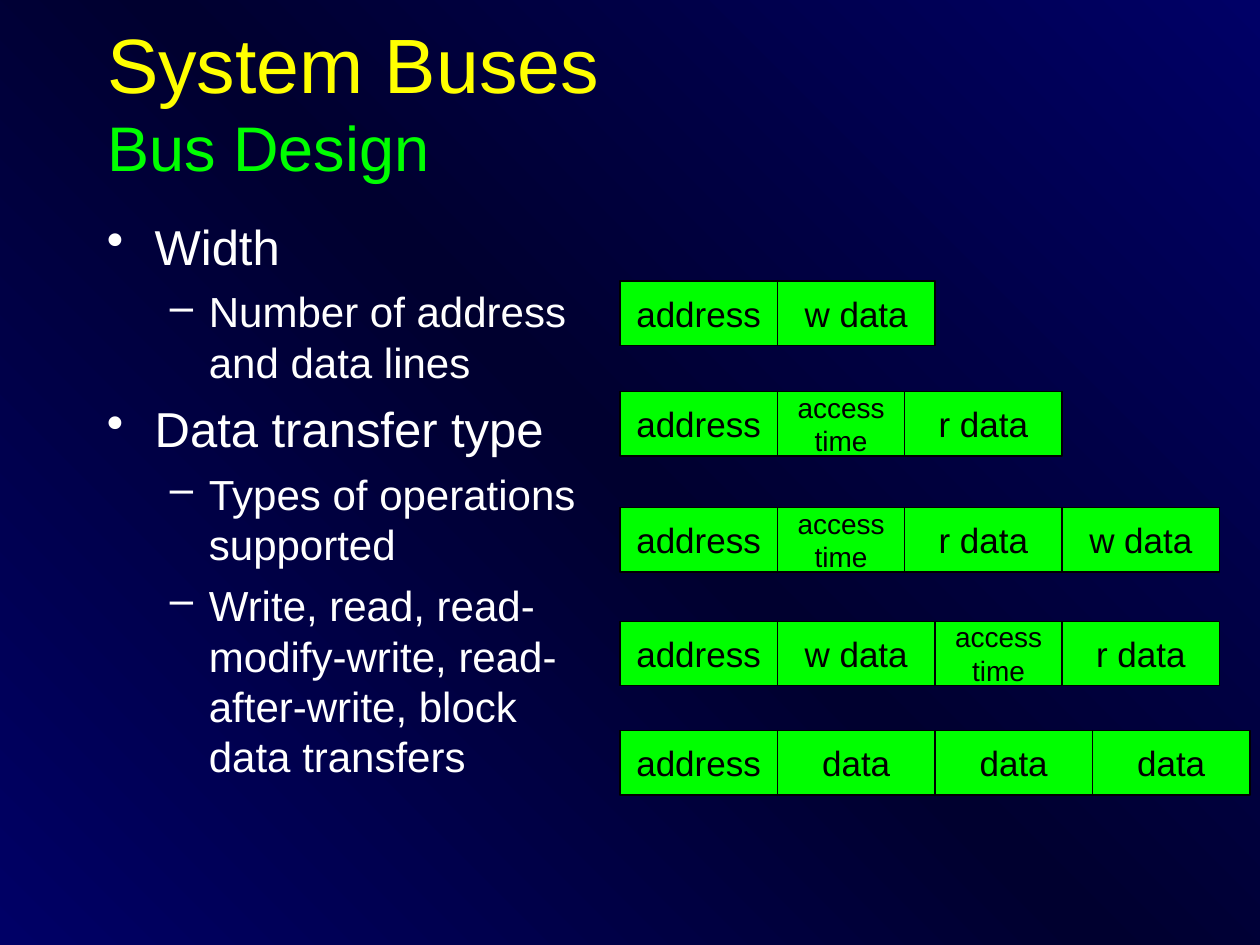
from copy import deepcopy

from lxml.etree import SubElement
from pptx import Presentation
from pptx.dml.color import RGBColor
from pptx.enum.shapes import MSO_SHAPE
from pptx.enum.text import MSO_ANCHOR, MSO_AUTO_SIZE, PP_ALIGN
from pptx.oxml.ns import qn
from pptx.util import Inches, Pt

YELLOW = RGBColor(0xFF, 0xFF, 0x00)
GREEN = RGBColor(0x00, 0xFF, 0x00)
WHITE = RGBColor(0xFF, 0xFF, 0xFF)
BLACK = RGBColor(0x00, 0x00, 0x00)
BLUE = RGBColor(0x00, 0x00, 0x66)
NAVY = RGBColor(0x00, 0x00, 0x2F)

# Content
TITLE, SUBTITLE = "System Buses", "Bus Design"
BULLETS = [
    (0, "Width"),
    (1, "Number of address and data lines"),
    (0, "Data transfer type"),
    (1, "Types of operations supported"),
    (1, "Write, read, read-modify-write, read-after-write, block data transfers"),
]
ACCESS = "access\ntime"
TRANSFERS = [  # top of the row, bus phases in order
    (2.23, ["address", "w data"]),
    (3.11, ["address", ACCESS, "r data"]),
    (4.03, ["address", ACCESS, "r data", "w data"]),
    (4.93, ["address", "w data", ACCESS, "r data"]),
    (5.8, ["address", "data", "data", "data"]),
]

# Format of each bullet level: character, size, indent, hanging, space before
LEVELS = [("•", 28, 0.38, 0.38, 7), ("–", 24, 0.81, 0.31, 6)]
ROW_LEFT, PHASE_HEIGHT = 4.92, 0.51
PHASE_WIDTH, ACCESS_WIDTH = 1.25, 1.01


def add_text(paragraph, text, size, color, align=PP_ALIGN.LEFT):
    paragraph.alignment = align
    for index, line in enumerate(text.split("\n")):
        if index:
            paragraph.add_line_break()
        run = paragraph.add_run()
        run.text = line
        run.font.name = "Arial"
        run.font.size = Pt(size)
        run.font.color.rgb = color


def set_background(slide):
    fill = slide.background.fill
    fill.gradient()
    fill.gradient_angle = 225
    stop_list = slide.element.find(".//" + qn("a:gsLst"))
    stop_list.insert(1, deepcopy(stop_list[0]))
    for stop, position, color in zip(fill.gradient_stops, (0, 0.5, 1), (BLUE, NAVY, BLUE)):
        stop.position = position
        stop.color.rgb = color


def add_title(slide):
    title = slide.shapes.title
    title.left, title.top = Inches(0.75), Inches(0.17)
    title.width, title.height = Inches(8.5), Inches(1.25)
    frame = title.text_frame
    frame.auto_size = MSO_AUTO_SIZE.NONE
    frame.vertical_anchor = MSO_ANCHOR.MIDDLE
    paragraph = frame.paragraphs[0]
    add_text(paragraph, TITLE, size=44, color=YELLOW)
    paragraph.add_line_break()
    add_text(paragraph, SUBTITLE, size=36, color=GREEN)


def add_bullets(slide):
    box = slide.shapes.add_textbox(Inches(0.75), Inches(1.67), Inches(4.17), Inches(5))
    frame = box.text_frame
    frame.word_wrap = True
    for index, (level, text) in enumerate(BULLETS):
        character, size, indent, hanging, space = LEVELS[level]
        paragraph = frame.add_paragraph() if index else frame.paragraphs[0]
        paragraph.level = level
        paragraph.space_before = Pt(space if index else 0)
        properties = paragraph._p.get_or_add_pPr()
        properties.set("marL", str(Inches(indent)))
        properties.set("indent", str(-Inches(hanging)))
        SubElement(properties, qn("a:buChar"), char=character)
        add_text(paragraph, text, size=size, color=WHITE)


def add_phase(slide, text, left, top, width):
    phase = slide.shapes.add_shape(
        MSO_SHAPE.RECTANGLE, Inches(left), Inches(top), Inches(width), Inches(PHASE_HEIGHT))
    phase.shadow.inherit = False
    phase.fill.solid()
    phase.fill.fore_color.rgb = GREEN
    phase.line.color.rgb = BLACK
    phase.line.width = Pt(0.75)
    frame = phase.text_frame
    frame.word_wrap = False
    frame.vertical_anchor = MSO_ANCHOR.MIDDLE
    add_text(frame.paragraphs[0], text, size=16 if text == ACCESS else 20,
             color=BLACK, align=PP_ALIGN.CENTER)


def main():
    presentation = Presentation()
    presentation.slide_width, presentation.slide_height = Inches(10), Inches(7.5)
    slide = presentation.slides.add_slide(presentation.slide_layouts[5])
    set_background(slide)
    add_title(slide)
    add_bullets(slide)

    # Bus transfers: phases placed side by side in each row
    for top, phases in TRANSFERS:
        left = ROW_LEFT
        for text in phases:
            width = ACCESS_WIDTH if text == ACCESS else PHASE_WIDTH
            add_phase(slide, text, left, top, width)
            left += width

    presentation.save("out.pptx")


if __name__ == "__main__":
    main()
